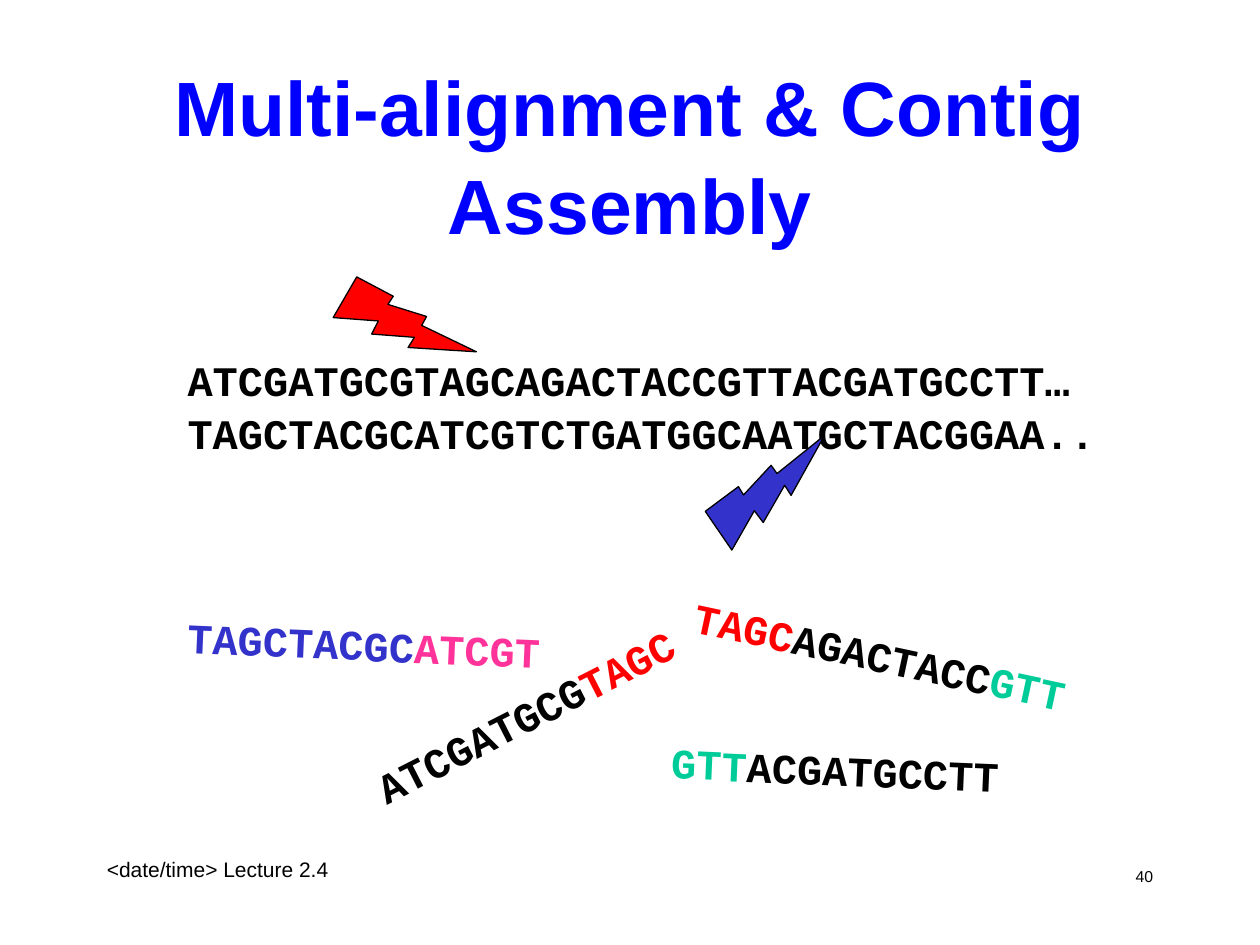
from pptx import Presentation
from pptx import util as u
from pptx.dml.color import RGBColor
from pptx.enum import shapes, text

WIDE, HIGH = 10, 7.5
BLACK, BLUE, RED = "000000", "0000FF", "FF0000"
NAVY, PINK, TEAL = "3333CC", "FF3399", "00CC99"
SANS = dict(name="Arial", size=u.Pt(12), bold=False)
HEAD = dict(name="Arial", size=u.Pt(44), bold=True)
PAGE = dict(name="Arial", size=u.Pt(9), bold=False)
CODE = dict(name="Courier New", size=u.Pt(24), bold=True)


def paint(part, tone):
    part.rgb = RGBColor.from_string(tone)


def place(x, y, w, h):
    return [u.Inches(n) for n in (x, y, w, h)]


def write(slide, box, lines, form, turn=0, wrap=True, align="LEFT", anchor="TOP"):
    """Add a text box; each line is a list of (wording, colour) runs."""
    shape = slide.shapes.add_textbox(*place(*box))
    shape.rotation = turn
    frame = shape.text_frame
    frame.word_wrap = wrap
    frame.vertical_anchor = getattr(text.MSO_ANCHOR, anchor)
    for i, line in enumerate(lines):
        para = frame.paragraphs[0] if i == 0 else frame.add_paragraph()
        para.alignment = getattr(text.PP_ALIGN, align)
        para.line_spacing = 1.06 if form["bold"] else 1.0
        for words, tone in line:
            run = para.add_run()
            run.text = words
            for key, value in form.items():
                setattr(run.font, key, value)
            paint(run.font.color, tone)


def strand(slide, box, lines, turn=0):
    write(slide, box, lines, CODE, turn, wrap=False)


def bolt(slide, x, y, turn, tone):
    kind = shapes.MSO_SHAPE.LIGHTNING_BOLT
    shape = slide.shapes.add_shape(kind, *place(x, y, WIDE / 12, 1))
    shape.rotation = turn
    shape.shadow.inherit = False
    shape.fill.solid()
    paint(shape.fill.fore_color, tone)
    paint(shape.line.color, BLACK)
    shape.line.width = u.Pt(0.75)


def main():
    deck = Presentation()
    deck.slide_width, deck.slide_height = u.Inches(WIDE), u.Inches(HIGH)
    slide = deck.slides.add_slide(deck.slide_layouts[6])
    edge, foot = 0.075 * WIDE, 0.9 * HIGH

    # Title
    write(slide, (edge, 0.58, WIDE - 2 * edge, 1.25),
          [[("Multi-alignment & Contig Assembly", BLUE)]],
          HEAD, align="CENTER", anchor="MIDDLE")

    # Double strand
    strand(slide, (1.39, 2.74, 7.4, 0.9),
           [[("ATCGATGCGTAGCAGACTACCGTTACGATGCCTT…", BLACK)],
            [("TAGCTACGCATCGTCTGATGGCAATGCTACGGAA..", BLACK)]])

    # Fragments with coloured overlaps
    for x, y, w, turn, runs in [
        (2.76, 5.41, 2.8, 333, [("ATCGATGCG", BLACK), ("TAGC", RED)]),
        (5.39, 4.93, 3.2, 12.1,
         [("TAGC", RED), ("AGACTACC", BLACK), ("GTT", TEAL)]),
        (5.23, 5.83, 2.8, 2.4, [("GTT", TEAL), ("ACGATGCCTT", BLACK)]),
        (1.39, 4.84, 3, 2.4, [("TAGCTACGC", NAVY), ("ATCGT", PINK)]),
    ]:
        strand(slide, (x, y, w, 0.5), [runs], turn)

    # Cutting bolts
    bolt(slide, 2.75, 2.08, 328.9, RED)
    bolt(slide, 5.67, 3.42, 264.4, NAVY)

    # Footer and page number
    wide = WIDE * 5 / 24
    write(slide, (edge, foot, wide, 0.5),
          [[("<date/time> Lecture 2.4", BLACK)]], SANS)
    write(slide, (WIDE - edge - wide, foot + 0.08, wide, 0.5),
          [[("40", BLACK)]], PAGE, align="RIGHT")

    deck.save("out.pptx")


if __name__ == "__main__":
    main()
